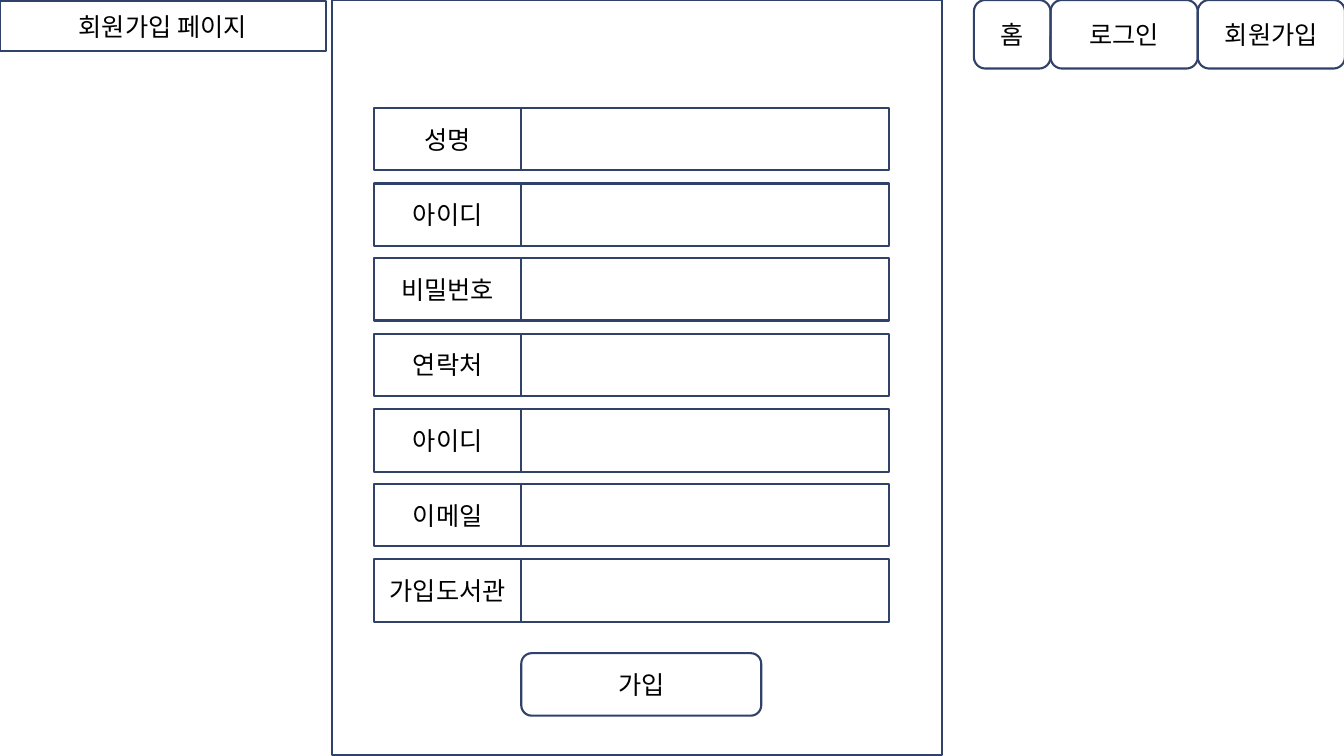
from pptx import Presentation
from pptx.dml.color import RGBColor
from pptx.enum.shapes import MSO_SHAPE
from pptx.enum.text import MSO_ANCHOR, PP_ALIGN
from pptx.util import Pt

PX = 9144
RECT = MSO_SHAPE.RECTANGLE
ROUNDED = MSO_SHAPE.ROUNDED_RECTANGLE
MIDDLE = MSO_ANCHOR.MIDDLE
CENTER = PP_ALIGN.CENTER
COLORS = {"outline": "30416A", "text": "000000"}
FONT = "Calibri"
FIELDS = ["성명", "아이디", "비밀번호", "연락처", "아이디", "이메일", "가입도서관"]
MENU = [("홈", 76), ("로그인", 146), ("회원가입", 146)]


def add_box(page, box, label="", kind=RECT):
    """Draw an outlined box with an optional centred label."""
    shape = page.shapes.add_shape(kind, *(round(length) * PX for length in box))
    shape.shadow.inherit = False
    shape.fill.background()
    shape.line.color.rgb = RGBColor.from_string(COLORS["outline"])
    shape.line.width = Pt(1.5)
    if label:
        frame = shape.text_frame
        frame.word_wrap = True
        frame.vertical_anchor = MIDDLE
        para = frame.paragraphs[0]
        para.alignment = CENTER
        span = para.add_run()
        span.text = label
        span.font.name = FONT
        span.font.size = Pt(18)
        span.font.color.rgb = RGBColor.from_string(COLORS["text"])


def add_form(page, box):
    """Place the sign-up panel with its field rows and submit button."""
    left, top, _, _ = box
    add_box(page, box)
    label_left, label_width, row_height = left + 42, 146, 62
    input_left = label_left + label_width
    first_top, last_top = top + 107, top + 555
    pitch = (last_top - first_top) / (len(FIELDS) - 1)
    for index, field in enumerate(FIELDS):
        row_top = first_top + index * pitch
        add_box(page, (label_left, row_top, label_width, row_height), field)
        add_box(page, (input_left, row_top, 365, row_height))
    add_box(page, (input_left, top + 648, 238, row_height), "가입", ROUNDED)


def add_menu(page, box):
    """Place the navigation buttons side by side."""
    left, top, _, height = box
    for label, width in MENU:
        add_box(page, (left, top, width, height), label, ROUNDED)
        left += width


def main():
    """Build the sign-up page wireframe."""
    deck = Presentation()
    deck.slide_width, deck.slide_height = 1333 * PX, 750 * PX
    page = deck.slides.add_slide(deck.slide_layouts[6])
    add_form(page, (329, 0, 605, 749))
    add_box(page, (0, 1, 323, 50), "회원가입 페이지")
    add_menu(page, (966, 0, 368, 68))
    deck.save("out.pptx")


if __name__ == "__main__":
    main()
